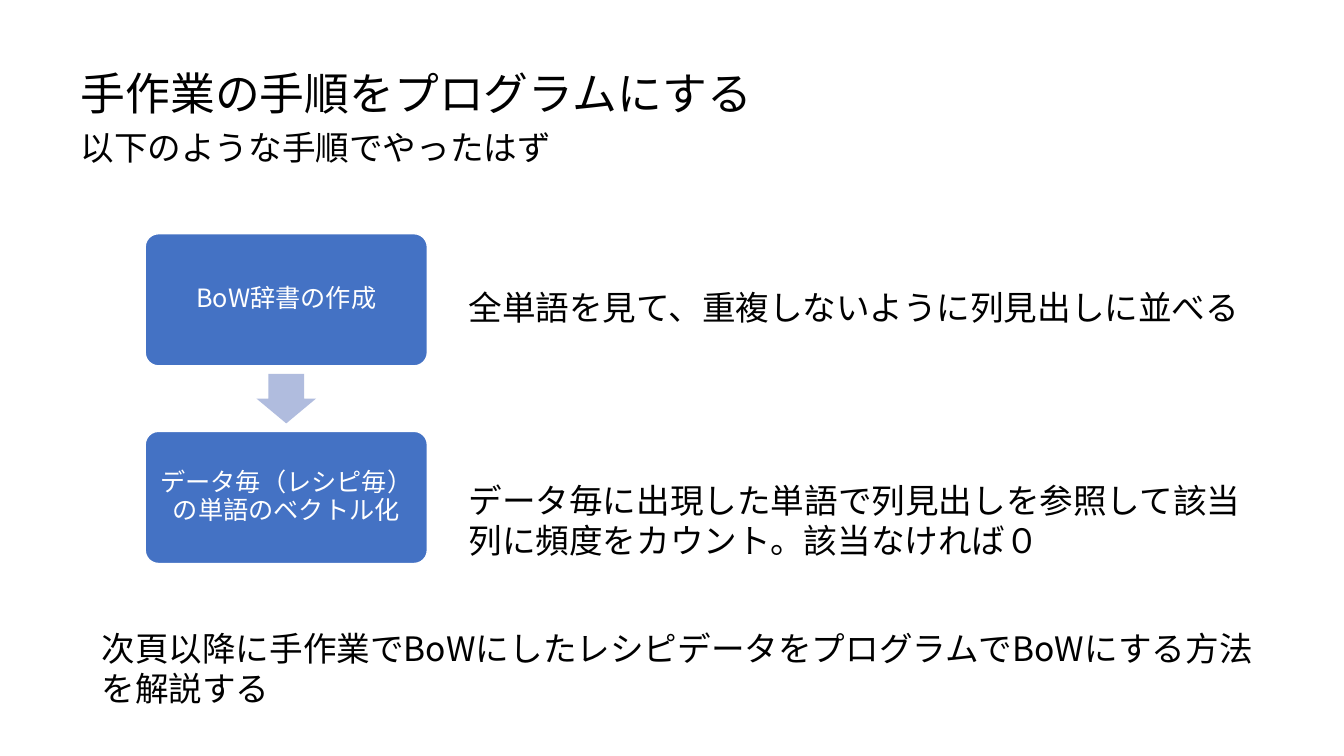
from lxml.etree import SubElement
from pptx import Presentation
from pptx.dml.color import RGBColor
from pptx.enum.shapes import MSO_SHAPE
from pptx.enum.text import MSO_ANCHOR, MSO_AUTO_SIZE, PP_ALIGN
from pptx.oxml.ns import qn
from pptx.util import Cm, Pt

BOX_LEFT, BOX_TOP, BOX_W, BOX_H = 3.66, 5.89, 7.11, 3.33
STEP_PITCH = 4.98
ARROW_W, ARROW_H = 1.5, 1.25
NOTE_LEFT = 11.56
STEPS = ["BoW辞書の作成", "データ毎（レシピ毎）の単語のベクトル化"]


def color(value):
    return RGBColor.from_string(value)


class SlideBuilder:
    font = "Noto Sans CJK JP"
    ink, paper = "000000", "FFFFFF"
    box_fill, arrow_fill = "4472C4", "B0BCDE"

    def __init__(self, slide):
        self.s = slide

    def add_run(self, p, text, size, ink):
        r = p.add_run()
        r.text = text
        r.font.name = self.font
        r.font.size = Pt(size)
        r.font.bold = False
        r.font.color.rgb = color(ink)
        SubElement(r.font._element, qn("a:ea"), typeface=self.font)

    def fill_text(self, sp, text, size, wrap):
        tf = sp.text_frame
        tf.word_wrap = wrap
        tf.auto_size = MSO_AUTO_SIZE.SHAPE_TO_FIT_TEXT
        tf.vertical_anchor = MSO_ANCHOR.TOP
        p = tf.paragraphs[0]
        p.alignment = PP_ALIGN.LEFT
        p.line_spacing = 1.0
        p.space_before = Pt(0)
        self.add_run(p, text, size, self.ink)

    def title(self, text, left, top, width, height):
        sp = self.s.shapes.title
        sp.left, sp.top, sp.width, sp.height = map(Cm, (left, top, width, height))
        self.fill_text(sp, text, 32, False)

    def note(self, text, left, top, width, height, wrap=True):
        sp = self.s.shapes.add_textbox(*map(Cm, (left, top, width, height)))
        self.fill_text(sp, text, 24, wrap)

    def shape(self, kind, left, top, width, height, fill):
        sp = self.s.shapes.add_shape(kind, *map(Cm, (left, top, width, height)))
        sp.shadow.inherit = False
        sp.fill.solid()
        sp.fill.fore_color.rgb = color(fill)
        return sp

    def step(self, text, top):
        sp = self.shape(MSO_SHAPE.ROUNDED_RECTANGLE, BOX_LEFT, top, BOX_W, BOX_H,
                        self.box_fill)
        sp.adjustments[0] = 0.1
        sp.line.color.rgb = color(self.paper)
        sp.line.width = Pt(1)
        tf = sp.text_frame
        tf.word_wrap = True
        tf.vertical_anchor = MSO_ANCHOR.MIDDLE
        tf.margin_left = tf.margin_right = tf.margin_top = tf.margin_bottom = Cm(0.18)
        p = tf.paragraphs[0]
        p.alignment = PP_ALIGN.CENTER
        p.line_spacing = 0.9
        p.space_after = Pt(6)
        self.add_run(p, text, 18, self.paper)

    def arrow(self, middle):
        """Draw a down arrow centred under the boxes at the given height."""
        sp = self.shape(MSO_SHAPE.DOWN_ARROW, BOX_LEFT + (BOX_W - ARROW_W) / 2,
                        middle - ARROW_H / 2, ARROW_W, ARROW_H, self.arrow_fill)
        sp.adjustments[0] = 0.6
        sp.adjustments[1] = 0.5
        sp.line.fill.background()


def main():
    prs = Presentation()
    prs.slide_width, prs.slide_height = Cm(33.87), Cm(19.05)
    b = SlideBuilder(prs.slides.add_slide(prs.slide_layouts[5]))

    b.title("手作業の手順をプログラムにする", 1.78, 1.52, 17.6, 1.63)
    b.note("以下のような手順でやったはず", 1.78, 3.07, 12.47, 1.27, wrap=False)

    for i, text in enumerate(STEPS):
        top = BOX_TOP + i * STEP_PITCH
        if i:
            b.arrow(top - (STEP_PITCH - BOX_H) / 2)
        b.step(text, top)

    b.note("全単語を見て、重複しないように列見出しに並べる",
           NOTE_LEFT, 7.11, 20.17, 1.27, wrap=False)
    b.note("データ毎に出現した単語で列見出しを参照して該当列に頻度をカウント。該当なければ０",
           NOTE_LEFT, 11.96, 20.5, 2.31)
    b.note("次頁以降に手作業でBoWにしたレシピデータをプログラムでBoWにする方法を解説する",
           2.31, 15.7, 29.74, 2.31)
    prs.save("out.pptx")


if __name__ == "__main__":
    main()
